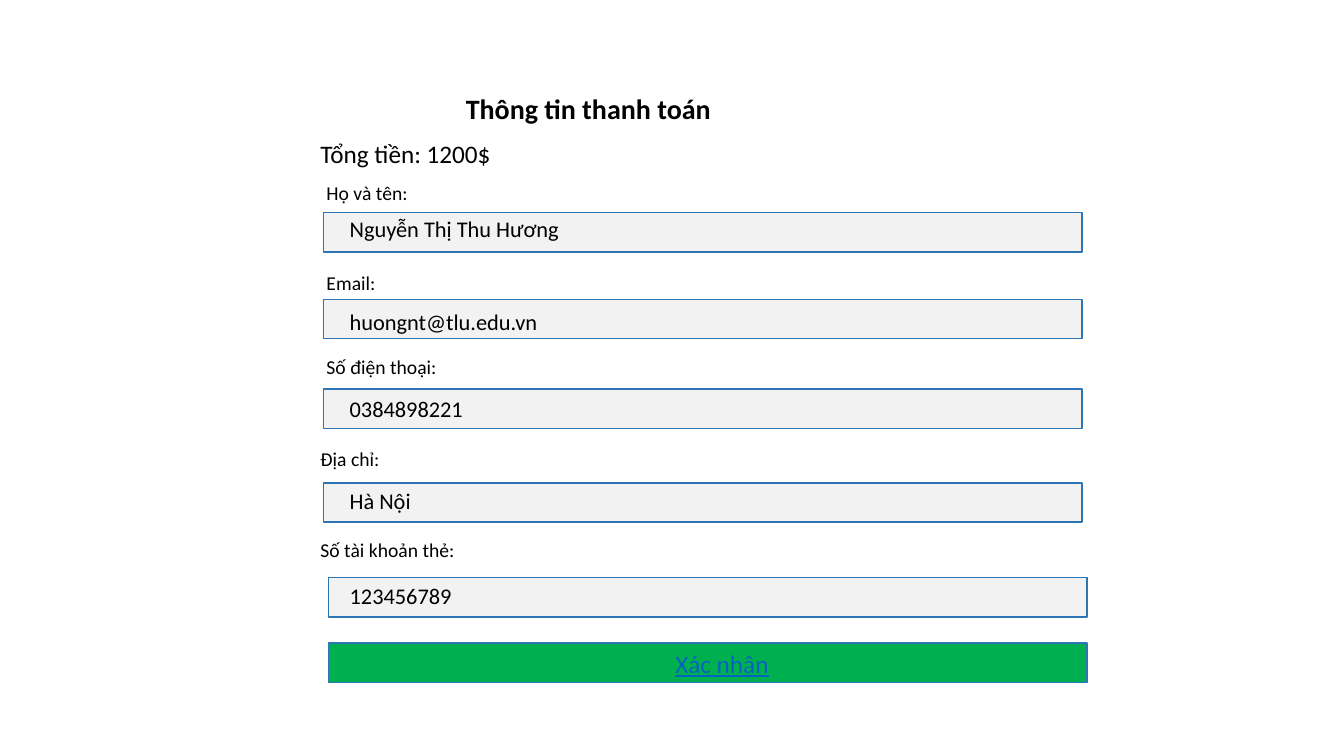
from pptx import Presentation
from pptx.dml.color import RGBColor
from pptx.enum.shapes import MSO_SHAPE
from pptx.enum.text import MSO_ANCHOR, MSO_AUTO_SIZE as AUTO, PP_ALIGN as ALIGN
from pptx.util import Inches, Pt

COLORS = {
    "text": "000000",
    "field": "F2F2F2",
    "border": "2E75B6",
    "button": "00B050",
    "link": "0563C1",
}
FIELD_W, FIELD_H = 7.52, 0.39
TEXT_W = 4.44


class FormSlide:
    """Style and current slide of the payment form."""

    font = "Calibri"

    def __init__(self, prs):
        self.slide = prs.slides.add_slide(prs.slide_layouts[5])

    def color(self, name):
        return RGBColor.from_string(COLORS[name])

    def set_text(self, sp, text, size, color="text", align=ALIGN.LEFT,
                 bold=False, underline=False, auto=AUTO.SHAPE_TO_FIT_TEXT):
        tf = sp.text_frame
        tf.word_wrap = True
        tf.auto_size = auto
        tf.vertical_anchor = MSO_ANCHOR.TOP
        p = tf.paragraphs[0]
        p.text = text
        p.alignment = align
        p.font.name = self.font
        p.font.size = Pt(size)
        p.font.bold = bold
        p.font.underline = underline
        p.font.color.rgb = self.color(color)

    def title(self, text, x, y, w, h):
        sp = self.slide.shapes.title
        sp.left, sp.top, sp.width, sp.height = map(Inches, (x, y, w, h))
        self.set_text(sp, text, 20, bold=True)

    def text(self, text, x, y, h, size, **style):
        sp = self.slide.shapes.add_textbox(
            Inches(x), Inches(y), Inches(TEXT_W), Inches(h))
        self.set_text(sp, text, size, **style)

    def box(self, x, y, fill):
        sp = self.slide.shapes.add_shape(
            MSO_SHAPE.RECTANGLE, Inches(x), Inches(y),
            Inches(FIELD_W), Inches(FIELD_H))
        sp.shadow.inherit = False
        sp.fill.solid()
        sp.fill.fore_color.rgb = self.color(fill)
        sp.line.color.rgb = self.color("border")
        sp.line.width = Pt(1)


def main():
    prs = Presentation()
    prs.slide_width, prs.slide_height = Inches(13.33), Inches(7.5)
    s = FormSlide(prs)

    # Heading and total
    s.title("Thông tin thanh toán", 4.52, 0.86, 2.81, 0.44)
    s.text("Tổng tiền: 1200$", 3.08, 1.32, 0.4, 18)

    # Fields: label, its x and y, box x and y, value, its y and height
    fields = [
        ("Họ và tên:", 3.14, 1.75, 3.21, 2.11, "Nguyễn Thị Thu Hương", 2.09, 0.37),
        ("Email:", 3.14, 2.64, 3.21, 2.97, "huongnt@tlu.edu.vn", 3.01, 0.34),
        ("Số điện thoại:", 3.14, 3.47, 3.21, 3.86, "0384898221", 3.87, 0.37),
        ("Địa chỉ:", 3.08, 4.38, 3.21, 4.79, "Hà Nội", 4.78, 0.37),
        ("Số tài khoản thẻ:", 3.08, 5.29, 3.26, 5.73, "123456789", 5.73, 0.37),
    ]
    for label, label_x, label_y, box_x, box_y, value, value_y, value_h in fields:
        s.text(label, label_x, label_y, 0.34, 14)
        s.box(box_x, box_y, "field")
        s.text(value, 3.37, value_y, value_h, 16, auto=AUTO.NONE)

    # Confirm button
    s.box(3.26, 6.38, "button")
    s.text("Xác nhận", 4.94, 6.38, 0.4, 18, color="link",
           align=ALIGN.CENTER, underline=True)

    prs.save("out.pptx")


if __name__ == "__main__":
    main()
